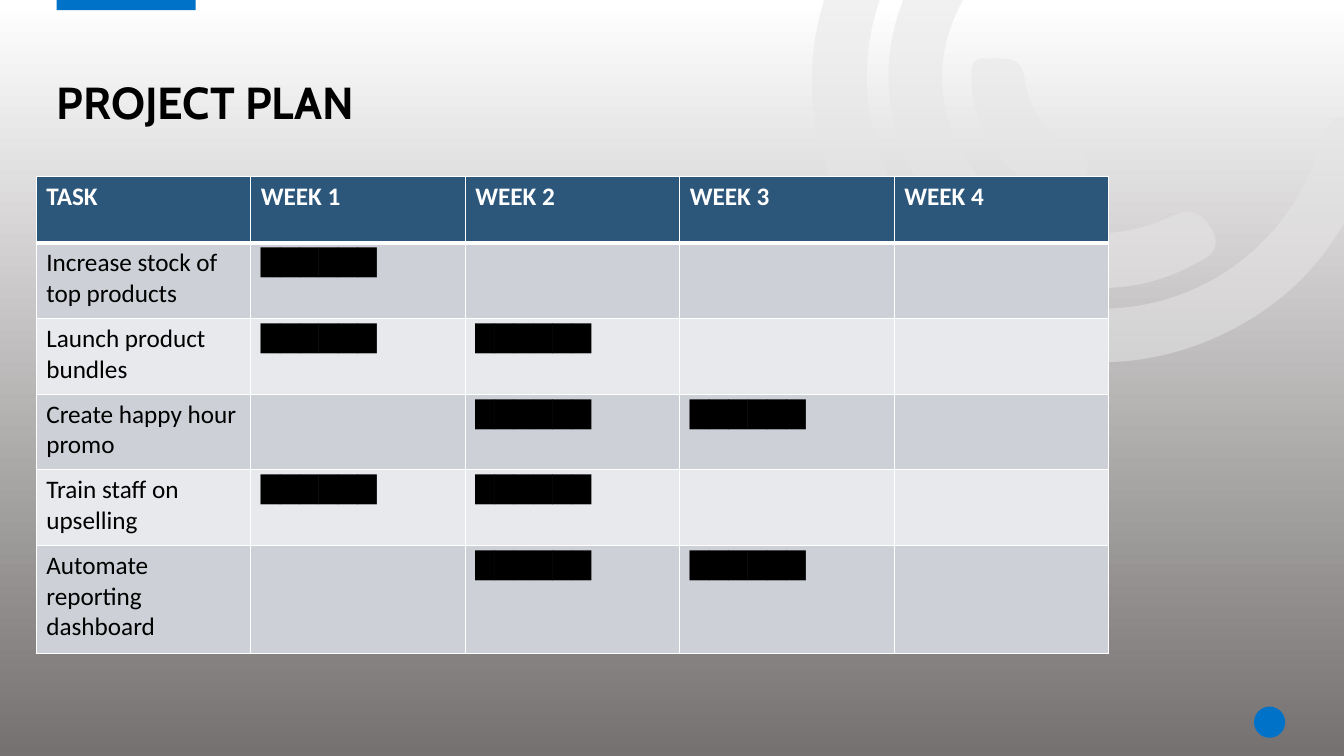
from dataclasses import dataclass
from math import cos, radians, sin
from typing import Any

from lxml.etree import SubElement as Sub
from pptx import Presentation
from pptx.dml.color import RGBColor as Rgb
from pptx.enum.shapes import MSO_SHAPE as Preset
from pptx.enum.text import MSO_ANCHOR as Anchor, PP_ALIGN as Align
from pptx.oxml.ns import qn
from pptx.util import Inches, Pt

COLORS = {
    "white": "FFFFFF", "black": "000000", "grey": "767171", "ring": "E7E6E6",
    "accent": "0072C7", "header": "2C567A", "odd": "CDD1D7", "even": "E8E9EC",
}
BAR = "██████"
WEEK_COUNT = 4
TABLE_WIDTH = 10.64
ROW_HEIGHTS = [0.66] + [0.75] * 4 + [1.07]
TITLE_FORMAT = {"name": "Cabin", "size": Pt(32), "bold": True}
HEADER_FORMAT = {"name": "Calibri", "size": Pt(18), "bold": True}
BODY_FORMAT = {**HEADER_FORMAT, "bold": False}
SWOOSH_TURN = 144.2
SIDES = ("left", "top", "width", "height")
Point = tuple[float, float]
Frame = tuple[float, float, float, float]


@dataclass
class Task:
    """A planned task and the weeks it is active."""
    name: str
    weeks: tuple[int, ...]


@dataclass
class Swoosh:
    """A turned frame and a closed outline of cubic curves on the page."""
    frame: Frame
    start: Point
    curves: list[tuple[float, ...]]


@dataclass
class Accent:
    """A plain preset shape in the accent colour."""
    preset: Preset
    frame: Frame
    turn: float = 0


TASKS = [
    Task("Increase stock of top products", (1,)),
    Task("Launch product bundles", (1, 2)),
    Task("Create happy hour promo", (2, 3)),
    Task("Train staff on upselling", (1, 2)),
    Task("Automate reporting dashboard", (2, 3)),
]
SWOOSHES = [
    Swoosh((8.13, -2.02, 4.85, 6), (8.51, 2.29), [
        (7.99, 1.49, 7.87, 0.5, 8.38, -0.5),
        (8.9, -1.52, 9.76, -2.03, 10.9, -2.07),
        (11.05, -2.07, 11.21, -2.1, 11.31, -1.95),
        (11.44, -1.75, 11.27, -1.54, 10.98, -1.54),
        (9.67, -1.54, 8.65, -0.59, 8.6, 0.68),
        (8.56, 1.81, 9.36, 2.81, 10.46, 3.02),
        (11.6, 3.24, 12.7, 2.61, 13.07, 1.52),
        (13.09, 1.48, 13.11, 1.44, 13.12, 1.4),
        (13.16, 1.19, 13.27, 1.11, 13.49, 1.17),
        (13.73, 1.24, 13.67, 1.41, 13.61, 1.56),
        (13.34, 2.45, 12.78, 3.07, 11.91, 3.41),
        (10.7, 3.87, 9.36, 3.45, 8.51, 2.29),
    ]),
    Swoosh((9.01, -0.78, 2.13, 4.26), (9.22, 1.99), [
        (8.62, 1.15, 8.69, 0.07, 9.4, -0.68),
        (9.51, -0.79, 9.62, -0.95, 9.8, -0.78),
        (9.95, -0.64, 9.97, -0.5, 9.79, -0.32),
        (9.25, 0.26, 9.2, 1.08, 9.65, 1.68),
        (10.08, 2.29, 10.88, 2.49, 11.61, 2.15),
        (11.82, 2.05, 11.93, 2.12, 12.03, 2.29),
        (12.13, 2.5, 11.97, 2.56, 11.83, 2.63),
        (10.96, 3.1, 9.83, 2.82, 9.22, 1.99),
    ]),
    Swoosh((9.8, 0.37, 0.78, 1.83), (9.87, 1.51), [
        (9.75, 1.3, 9.64, 1.07, 9.64, 0.82),
        (9.64, 0.73, 9.61, 0.57, 9.76, 0.58),
        (9.92, 0.59, 10.13, 0.53, 10.16, 0.76),
        (10.21, 1.1, 10.36, 1.32, 10.67, 1.48),
        (10.88, 1.57, 10.76, 1.76, 10.72, 1.89),
        (10.68, 2.06, 10.55, 1.98, 10.45, 1.94),
        (10.21, 1.87, 10.03, 1.7, 9.87, 1.51),
    ]),
]
ACCENTS = [
    Accent(Preset.RECTANGLE, (0.56, -0.02, 1.38, 0.12), 180),
    Accent(Preset.OVAL, (12.44, 7.01, 0.31, 0.31)),
]


def color(name: str) -> Rgb:
    """Return the named colour."""
    return Rgb.from_string(COLORS[name])


def set_all(target: Any, values: dict[str, Any]) -> None:
    """Set every attribute in values on the target."""
    for name, value in values.items():
        setattr(target, name, value)


def place(shape: Any, frame: Frame) -> None:
    """Move and size the shape."""
    set_all(shape, dict(zip(SIDES, map(Inches, frame))))


def write(para: Any, text: str, values: dict[str, Any], ink: str) -> None:
    """Add one formatted span of text to the paragraph."""
    span = para.add_run()
    span.text = text
    set_all(span.font, values)
    span.font.color.rgb = color(ink)


def paint(shape: Any, fill: str) -> None:
    """Give the shape a flat fill without outline or shadow."""
    shape.shadow.inherit = False
    shape.fill.solid()
    shape.fill.fore_color.rgb = color(fill)
    shape.line.fill.background()


def turn_back(point: Point, frame: Frame) -> Point:
    """Return a page point inside the frame before the frame was turned."""
    left, top, width, height = frame
    x, y = point[0] - left - width / 2, point[1] - top - height / 2
    angle = radians(-SWOOSH_TURN)
    return (width / 2 + x * cos(angle) - y * sin(angle),
            height / 2 + x * sin(angle) + y * cos(angle))


def draw_swoosh(page: Any, swoosh: Swoosh) -> None:
    """Draw a translucent curved outline."""
    builder = page.shapes.build_freeform(*map(Inches, swoosh.start))
    builder.add_line_segments([tuple(map(Inches, curve[4:])) for curve in swoosh.curves])
    shape = builder.convert_to_shape()
    place(shape, swoosh.frame)
    shape.rotation = SWOOSH_TURN
    outline = shape._element.find(".//" + qn("a:path"))
    outline.clear()
    for name, length in zip("wh", swoosh.frame[2:]):
        outline.set(name, str(Inches(length)))
    steps = [("a:moveTo", swoosh.start)] + [("a:cubicBezTo", curve) for curve in swoosh.curves]
    for tag, numbers in steps:
        step = Sub(outline, qn(tag))
        for point in zip(numbers[::2], numbers[1::2]):
            x, y = map(Inches, turn_back(point, swoosh.frame))
            Sub(step, qn("a:pt"), x=str(x), y=str(y))
    Sub(outline, qn("a:close"))
    paint(shape, "ring")
    tint = shape._element.spPr.find(qn("a:solidFill"))[0]
    Sub(tint, qn("a:alpha"), val="53000")


def draw_accent(page: Any, accent: Accent) -> None:
    """Draw an accent shape."""
    shape = page.shapes.add_shape(accent.preset, *map(Inches, accent.frame))
    shape.rotation = accent.turn
    paint(shape, "accent")


def draw_title(page: Any) -> None:
    """Place and format the title."""
    title = page.shapes.title
    place(title, (0.56, 0.27, 3.6, 1.01))
    margins = dict.fromkeys(("margin_left", "margin_top", "margin_right", "margin_bottom"), 0)
    set_all(title.text_frame, {**margins, "vertical_anchor": Anchor.BOTTOM, "word_wrap": True})
    para = title.text_frame.paragraphs[0]
    set_all(para, {"alignment": Align.LEFT, "line_spacing": 0.9})
    write(para, "PROJECT PLAN", TITLE_FORMAT, "black")


def set_borders(cell: Any, top: int, bottom: int) -> None:
    """Draw white cell borders with the given horizontal widths in points."""
    properties = cell._tc.get_or_add_tcPr()
    for side, width in {"L": 1, "R": 1, "T": top, "B": bottom}.items():
        line = Sub(properties, qn(f"a:ln{side}"), w=str(Pt(width)))
        Sub(Sub(line, qn("a:solidFill")), qn("a:srgbClr"), val=COLORS["white"])


def draw_plan(page: Any) -> None:
    """Draw the table of tasks by week."""
    weeks = range(1, WEEK_COUNT + 1)
    rows = [["TASK", *(f"WEEK {week}" for week in weeks)]]
    rows += [[task.name, *(BAR if week in task.weeks else "" for week in weeks)] for task in TASKS]
    frame = map(Inches, (0.36, 1.75, TABLE_WIDTH, sum(ROW_HEIGHTS)))
    table = page.shapes.add_table(len(rows), len(rows[0]), *frame).table
    for r, (texts, height) in enumerate(zip(rows, ROW_HEIGHTS)):
        table.rows[r].height = Inches(height)
        fill = "header" if r == 0 else "odd" if r % 2 else "even"
        values, ink = (BODY_FORMAT, "black") if r else (HEADER_FORMAT, "white")
        for c, text in enumerate(texts):
            cell = table.cell(r, c)
            set_borders(cell, 3 if r == 1 else 1, 1 if r else 3)
            cell.fill.solid()
            cell.fill.fore_color.rgb = color(fill)
            if text:
                write(cell.text_frame.paragraphs[0], text, values, ink)


def main() -> None:
    """Build and save the deck."""
    deck = Presentation()
    set_all(deck, {"slide_width": Inches(40 / 3), "slide_height": Inches(7.5)})
    page = deck.slides.add_slide(deck.slide_layouts[5])
    backdrop = page.background.fill
    backdrop.gradient()
    backdrop.gradient_angle = 270
    for stop, position, name in zip(backdrop.gradient_stops, (0, 1), ("white", "grey")):
        stop.position = position
        stop.color.rgb = color(name)
    for swoosh in SWOOSHES:
        draw_swoosh(page, swoosh)
    for accent in ACCENTS:
        draw_accent(page, accent)
    draw_title(page)
    draw_plan(page)
    deck.save("out.pptx")


if __name__ == "__main__":
    main()
